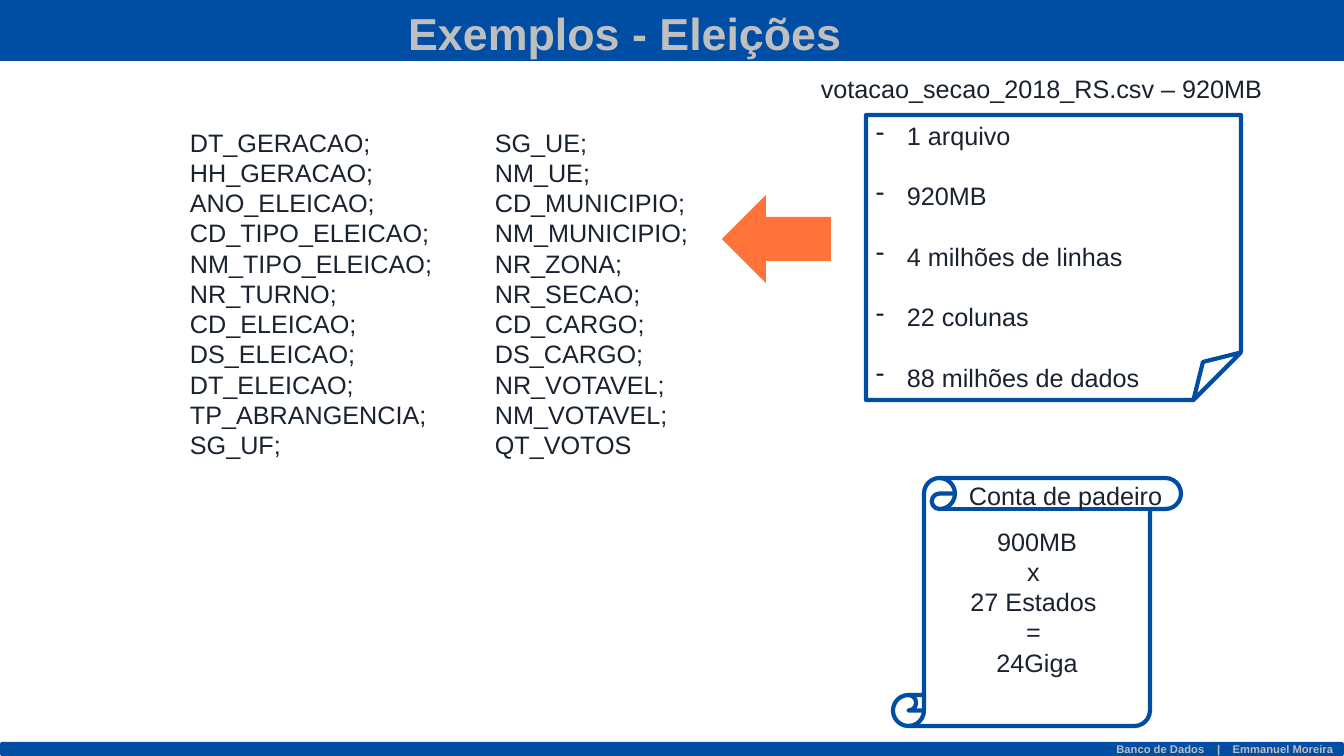
"""Build the slide on election data: file, columns and size estimate."""
from lxml import etree
from pptx import Presentation, util as u
from pptx.dml.color import RGBColor
from pptx.enum import shapes, text
from pptx.oxml import ns

BLUE = RGBColor(0x00, 0x4E, 0xA3)
ORANGE = RGBColor(0xFF, 0x73, 0x3B)
GRAY = RGBColor(0xBF, 0xBF, 0xBF)
INK = RGBColor(0x19, 0x23, 0x2F)
PX = 914400 / 100.8
KIND = shapes.MSO_SHAPE
ALIGN = text.PP_ALIGN

deck = Presentation()
deck.slide_width, deck.slide_height = round(1344 * PX), round(756 * PX)
slide = deck.slides.add_slide(deck.slide_layouts[6])


def draw(kind, box, fill=None, line=None):
    shape = slide.shapes.add_shape(kind, *(round(n * PX) for n in box))
    shape.shadow.inherit = False
    if fill:
        shape.fill.solid()
        shape.fill.fore_color.rgb = fill
    else:
        shape.fill.background()
    if line:
        shape.line.color.rgb = line
        shape.line.width = u.Pt(3)
    else:
        shape.line.fill.background()
    return shape


def write(box, lines, size=18, color=INK, align=ALIGN.LEFT, wrap=True, bold=False):
    frame = slide.shapes.add_textbox(*(round(n * PX) for n in box)).text_frame
    frame.word_wrap = wrap
    frame.text = "\n".join(lines)
    for para in frame.paragraphs:
        para.alignment = align
        para.line_spacing = u.Pt(size * 1.2)
        para.font.name = "Arial"
        para.font.size = u.Pt(size)
        para.font.bold = bold
        para.font.color.rgb = color
    return frame


foot = draw(KIND.ROUNDED_RECTANGLE, (0, 742, 1344, 14), BLUE).text_frame
foot.vertical_anchor = text.MSO_ANCHOR.MIDDLE
para = foot.paragraphs[0]
para.alignment = ALIGN.RIGHT
para.font.name = "Arial"
para.font.size = u.Pt(8)
para.font.bold = True
para.font.color.rgb = GRAY
for part in ("Banco de Dados", " ", "|", " ", "Emmanuel Moreira"):
    run = para.add_run()
    run.text = part
    if part == " ":
        run.font._element.set("spc", "670")

draw(KIND.RECTANGLE, (0, 0, 1344, 61), BLUE)
write((396, 1, 458, 65), ["Exemplos - Eleições"], 32, GRAY, ALIGN.CENTER, False, True)

write((180, 122, 286, 346), [
    "DT_GERACAO;", "HH_GERACAO;", "ANO_ELEICAO;", "CD_TIPO_ELEICAO;",
    "NM_TIPO_ELEICAO;", "NR_TURNO;", "CD_ELEICAO;", "DS_ELEICAO;",
    "DT_ELEICAO;", "TP_ABRANGENCIA;", "SG_UF;"])
write((485, 122, 237, 346), [
    "SG_UE;", "NM_UE;", "CD_MUNICIPIO;", "NM_MUNICIPIO;", "NR_ZONA;",
    "NR_SECAO;", "CD_CARGO;", "DS_CARGO;", "NR_VOTAVEL;", "NM_VOTAVEL;",
    "QT_VOTOS"])
draw(KIND.LEFT_ARROW, (722, 195, 109, 88), ORANGE)

draw(KIND.FOLDED_CORNER, (866, 115, 375, 285), line=BLUE)
facts = write((866, 115, 342, 285), [
    "1 arquivo", "920MB", "4 milhões de linhas", "22 colunas",
    "88 milhões de dados"])
dent = round(31 * PX)
for row, para in enumerate(facts.paragraphs):
    para.space_before = u.Pt(21.6 if row else 0)
    props = para._p.get_or_add_pPr()
    props.set("marL", str(dent))
    props.set("indent", str(-dent))
    mark = etree.Element(ns.qn("a:buChar"), char="-")
    props.find(ns.qn("a:defRPr")).addprevious(mark)
write((811, 68, 466, 40), ["votacao_secao_2018_RS.csv – 920MB"], wrap=False)

write((960, 521, 154, 163), ["900MB", "x ", "27 Estados ", "= ", "24Giga"],
      align=ALIGN.CENTER, wrap=False)
draw(KIND.VERTICAL_SCROLL, (893, 478, 288, 248), line=BLUE)
write((959, 475, 223, 40), ["Conta de padeiro"], wrap=False)

deck.save("out.pptx")
